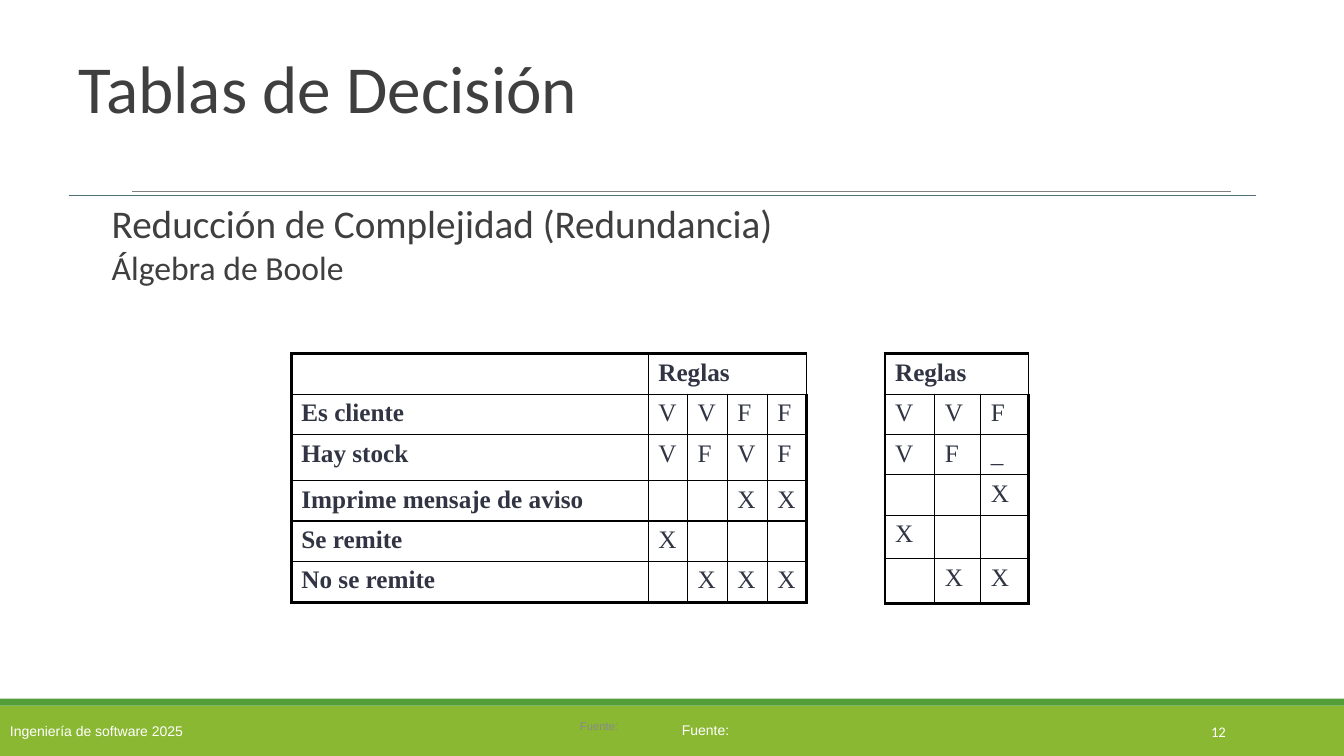
import pptx
import pptx.dml.color
import pptx.enum.shapes
import pptx.enum.text
import pptx.oxml
import pptx.oxml.ns
import pptx.util

Pt = pptx.util.Pt
RGBColor = pptx.dml.color.RGBColor
ANCHOR = pptx.enum.text.MSO_ANCHOR
ALIGN = pptx.enum.text.PP_ALIGN

WHITE = RGBColor(0xFF, 0xFF, 0xFF)
BLACK = RGBColor(0, 0, 0)
LIME = RGBColor(0x8A, 0xB8, 0x33)
GREEN = RGBColor(0x54, 0x9E, 0x39)
GRAY = RGBColor(0x7F, 0x7F, 0x7F)
SLATE = RGBColor(0x51, 0x71, 0x78)
CHARCOAL = RGBColor(0x3F, 0x3F, 0x3F)
FOOTNOTE = RGBColor(0x89, 0x89, 0x89)
INK = RGBColor(0x31, 0x35, 0x43)

THIN = 1
THICK = 2.25

STOCK_RULES = [
    ["", "Reglas", "", "", ""],
    ["Es cliente", "V", "V", "F", "F"],
    ["Hay stock", "V", "F", "V", "F"],
    ["Imprime mensaje de aviso", "", "", "X", "X"],
    ["Se remite", "X", "", "", ""],
    ["No se remite", "", "X", "X", "X"],
]
REDUCED_RULES = [
    ["Reglas", "", ""],
    ["V", "V", "F"],
    ["V", "F", "_"],
    ["", "", "X"],
    ["X", "", ""],
    ["", "X", "X"],
]


def style(para, name, size, color, bold=False):
    font = para.font
    font.name = name
    font.size = Pt(size)
    font.bold = bold
    font.color.rgb = color


def add_band(slide, top, height, color):
    band = slide.shapes.add_shape(
        pptx.enum.shapes.MSO_SHAPE.RECTANGLE, 0, Pt(top), Pt(960), Pt(height))
    band.shadow.inherit = False
    band.fill.solid()
    band.fill.fore_color.rgb = color
    band.line.fill.background()
    return band


def add_rule(slide, left, right, y, color):
    rule = slide.shapes.add_connector(
        pptx.enum.shapes.MSO_CONNECTOR.STRAIGHT, Pt(left), Pt(y), Pt(right), Pt(y))
    rule.line.color.rgb = color
    rule.line.width = Pt(0.75)
    effects = pptx.oxml.parse_xml(
        f"<a:effectLst {pptx.oxml.ns.nsdecls('a')}/>")
    rule.element.spPr.append(effects)


def add_label(slide, place, text, name, size, color, align=ALIGN.LEFT):
    box = slide.shapes.add_textbox(*map(Pt, place))
    box.text_frame.word_wrap = True
    para = box.text_frame.paragraphs[0]
    para.text = text
    para.alignment = align
    style(para, name, size, color)
    return box


def set_borders(cell, widths):
    properties = cell._tc.get_or_add_tcPr()
    for side, width in zip("LRTB", widths):
        properties.append(pptx.oxml.parse_xml(
            f'<a:ln{side} {pptx.oxml.ns.nsdecls("a")} w="{Pt(width)}">'
            f'<a:solidFill><a:srgbClr val="{BLACK}"/></a:solidFill></a:ln{side}>'))


def add_decision_table(slide, left, rows, widths, heights, rules_column):
    last_row, last_column = len(rows) - 1, len(widths) - 1
    table = slide.shapes.add_table(
        len(rows), len(widths), Pt(left), Pt(252.72),
        Pt(sum(widths)), Pt(sum(heights))).table
    table.first_row = False
    table.horz_banding = False
    for column, width in zip(table.columns, widths):
        column.width = Pt(width)
    for row, height in zip(table.rows, heights):
        row.height = Pt(height)
    for i, texts in enumerate(rows):
        for j, text in enumerate(texts):
            cell = table.cell(i, j)
            outer = (j == 0, j == last_column, i == 0, i == last_row)
            set_borders(cell, [THICK if edge else THIN for edge in outer])
            cell.fill.background()
            cell.text = text
            bold = i == 0 or j < rules_column
            style(cell.text_frame.paragraphs[0], "Times New Roman", 18, INK, bold)
    table.cell(0, rules_column).merge(table.cell(0, last_column))


def add_title(slide):
    title = slide.shapes.title
    title.left, title.top = Pt(48.96), Pt(50.4)
    title.width, title.height = Pt(848.16), Pt(89.28)
    frame = title.text_frame
    frame.auto_size = pptx.enum.text.MSO_AUTO_SIZE.NONE
    frame.vertical_anchor = ANCHOR.MIDDLE
    para = frame.paragraphs[0]
    para.text = "Tablas de Decisión \v"
    para.alignment = ALIGN.LEFT
    para.line_spacing = 0.85
    style(para, "Calibri", 48, CHARCOAL)


def add_subtitles(slide):
    box = add_label(slide, (72.72, 144, 771.12, 352.8),
                    "Reducción de Complejidad (Redundancia)", "Calibri", 28, CHARCOAL)
    para = box.text_frame.add_paragraph()
    para.text = "Álgebra de Boole"
    style(para, "Calibri", 24, CHARCOAL)
    for para in box.text_frame.paragraphs:
        para.line_spacing = 0.85
        para.space_before = Pt(4.5)


def add_footer(slide):
    band = add_band(slide, 504, 36, LIME)
    band.text_frame.vertical_anchor = ANCHOR.MIDDLE
    para = band.text_frame.paragraphs[0]
    para.text = "Ingeniería de software 2025"
    para.alignment = ALIGN.LEFT
    style(para, "Arial", 10, WHITE)
    add_band(slide, 499, 5, GREEN)
    add_label(slide, (407.2, 510, 60, 18), "Fuente:", "Arial", 8, FOOTNOTE)
    add_label(slide, (480, 511.92, 60, 19.44), "Fuente:", "Arial", 10, WHITE)
    number = add_label(slide, (779.76, 508.32, 102.96, 28.8), "12",
                       "Calibri", 10.5, WHITE, ALIGN.RIGHT)
    number.text_frame.vertical_anchor = ANCHOR.MIDDLE


def main():
    deck = pptx.Presentation()
    deck.slide_width, deck.slide_height = Pt(960), Pt(540)
    slide = deck.slides.add_slide(deck.slide_layouts[5])
    add_footer(slide)
    add_rule(slide, 94.32, 879.12, 136.8, GRAY)
    add_rule(slide, 48.96, 897.12, 139.68, SLATE)
    add_title(slide)
    add_subtitles(slide)
    add_decision_table(slide, 208.08, STOCK_RULES, [255, 28, 28.5, 28.5, 28],
                       [28, 27.5, 33, 28, 27.5, 29.5], 1)
    add_decision_table(slide, 632.16, REDUCED_RULES, [35.5, 33, 34],
                       [27, 27, 27, 27, 31, 32], 0)
    deck.save("out.pptx")


if __name__ == "__main__":
    main()
